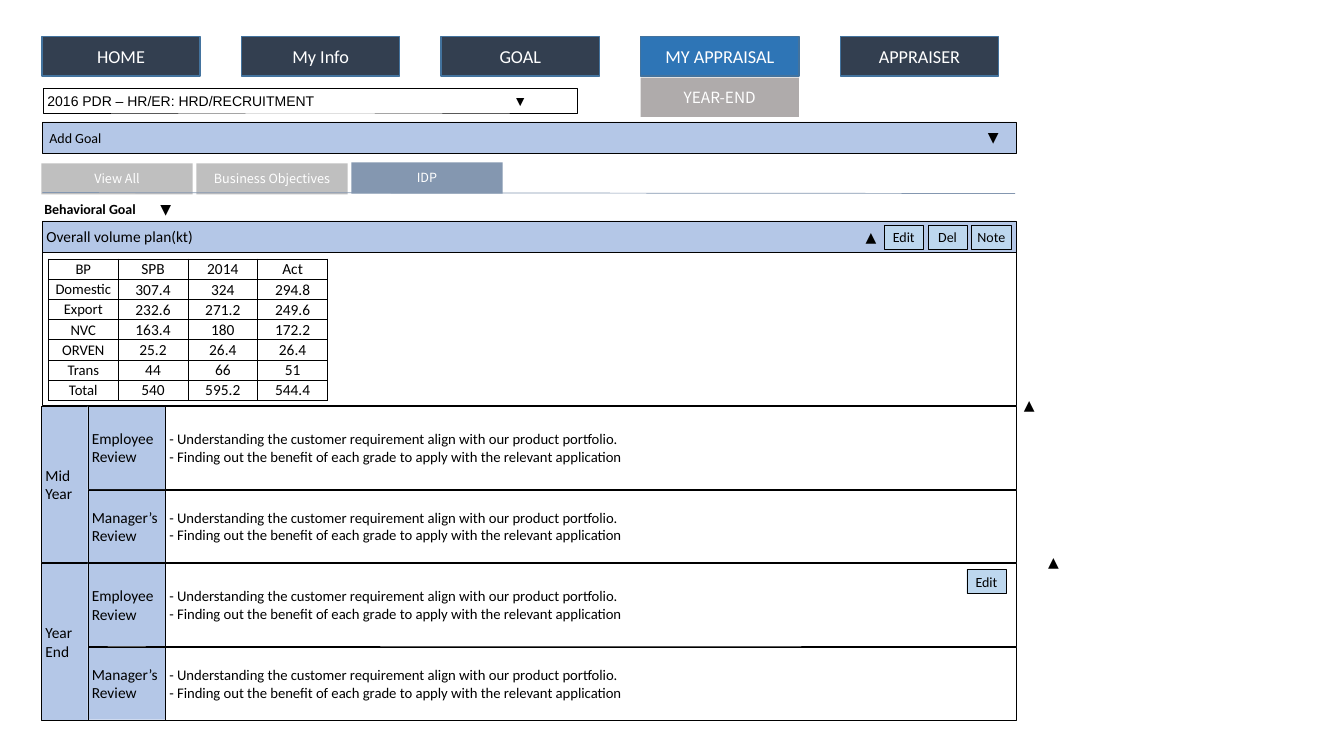
"""Build the year-end appraisal screen with its plan table and review blocks."""
from dataclasses import dataclass
from typing import NamedTuple, Optional

from lxml.etree import SubElement
from pptx import Presentation
from pptx.dml.color import RGBColor
from pptx.enum.shapes import MSO_CONNECTOR as Connector, MSO_SHAPE as Preset
from pptx.enum.text import MSO_ANCHOR as Anchor, PP_ALIGN as Align
from pptx.oxml.ns import qn
from pptx.util import Inches, Pt

WIDTH, HEIGHT = Inches(13.33), Inches(7.5)


@dataclass(frozen=True)
class Theme:
    """Colours, fonts and type sizes of the slide."""
    navy: str = "333F50"
    blue: str = "2E75B6"
    edge: str = "43739E"
    grey: str = "AFABAB"
    tab: str = "BFBFBF"
    slate: str = "8497B0"
    band: str = "B4C7E7"
    button: str = "BDD7EE"
    black: str = "000000"
    white: str = "FFFFFF"
    body_font: str = "Calibri"
    tab_font: str = "Noto Sans CJK KR"
    list_font: str = "Arial"
    nav_size: float = 13
    label_size: float = 11
    review_size: float = 10.5
    small_size: float = 10
    tab_size: float = 9


THEME = Theme()


class Area(NamedTuple):
    """A rectangle in percent of the slide's width and height."""
    left: float
    top: float
    width: float
    height: float

    def lengths(self) -> tuple:
        """Return the four lengths in slide units."""
        sides = (WIDTH, HEIGHT, WIDTH, HEIGHT)
        return tuple(int(share * side / 100) for share, side in zip(self, sides))


@dataclass(frozen=True)
class Style:
    """The look of a box and its text."""
    fill: Optional[str] = None
    line: Optional[str] = THEME.black
    line_width: float = 0.25
    size: float = THEME.small_size
    color: str = THEME.black
    font: str = THEME.body_font
    align: Align = Align.LEFT
    inset: float = 0.04
    tab_stop: float = 0


NAV = Style(THEME.navy, THEME.edge, 1, THEME.nav_size, THEME.white, align=Align.CENTER)
NAV_ACTIVE = Style(THEME.blue, THEME.edge, 1, THEME.nav_size, THEME.white, align=Align.CENTER)
SUBMENU = Style(THEME.grey, None, 0, THEME.label_size, THEME.white, THEME.tab_font, Align.CENTER)
TAB = Style(THEME.tab, None, 0, THEME.tab_size, THEME.white, THEME.tab_font, Align.CENTER)
TAB_ACTIVE = Style(THEME.slate, None, 0, THEME.tab_size, THEME.white, THEME.tab_font, Align.CENTER)
BUTTON = Style(THEME.button, align=Align.CENTER)
LABEL = Style(THEME.band, size=THEME.label_size)
ADD_BAR = Style(THEME.band, inset=0.07)
REVIEW = Style(size=THEME.review_size)
DROPDOWN = Style(font=THEME.list_font, tab_stop=4.62)
FILTER = Style(inset=0.02, tab_stop=1.15)
MARKER = Style(align=Align.CENTER, inset=0)
PANEL = Style()

PLAN = (
    ("BP", "SPB", "2014", "Act"),
    ("Domestic", "307.4", "324", "294.8"),
    ("Export", "232.6", "271.2", "249.6"),
    ("NVC", "163.4", "180", "172.2"),
    ("ORVEN", "25.2", "26.4", "26.4"),
    ("Trans", "44", "66", "51"),
    ("Total", "540", "595.2", "544.4"),
)
COMMENTS = (
    "- Understanding the customer requirement align with our product portfolio.",
    "- Finding out the benefit of each grade to apply with the relevant application",
)


def add_span(para, text: str, style: Style, bold: bool = False) -> None:
    """Add one formatted run to a paragraph."""
    span = para.add_run()
    span.text = text
    span.font.name, span.font.size, span.font.bold = style.font, Pt(style.size), bold
    span.font.color.rgb = RGBColor.from_string(style.color)


def set_tab(para, inches: float) -> None:
    """Give a paragraph one left tab stop."""
    stops = SubElement(para._p.get_or_add_pPr(), qn("a:tabLst"))
    SubElement(stops, qn("a:tab"), pos=str(Inches(inches)), algn="l")


def fill_frame(frame, paragraphs: tuple, style: Style) -> None:
    """Write paragraphs, with line breaks, into a text frame."""
    frame.word_wrap = True
    frame.margin_left = frame.margin_right = Inches(style.inset)
    frame.margin_top = frame.margin_bottom = Inches(min(style.inset, 0.04))
    for number, text in enumerate(paragraphs):
        para = frame.add_paragraph() if number else frame.paragraphs[0]
        para.alignment = style.align
        if style.tab_stop:
            set_tab(para, style.tab_stop)
        for part_number, part in enumerate(text.split("\n")):
            if part_number:
                para.add_line_break()
            add_span(para, part, style)


def add_box(page, area: Area, style: Style, *paragraphs: str) -> None:
    """Draw a rectangle with vertically centred text."""
    box = page.shapes.add_shape(Preset.RECTANGLE, *area.lengths())
    box.shadow.inherit = False
    if style.fill:
        box.fill.solid()
        box.fill.fore_color.rgb = RGBColor.from_string(style.fill)
    else:
        box.fill.background()
    if style.line:
        box.line.color.rgb = RGBColor.from_string(style.line)
        box.line.width = Pt(style.line_width)
    else:
        box.line.fill.background()
    box.text_frame.vertical_anchor = Anchor.MIDDLE
    fill_frame(box.text_frame, paragraphs, style)


def add_marker(page, left: float, top: float, symbol: str) -> None:
    """Place a small triangle as text."""
    box = page.shapes.add_textbox(*Area(left, top, 1.8, 3.6).lengths())
    fill_frame(box.text_frame, (symbol,), MARKER)
    box.text_frame.margin_top = Inches(0.05)


def add_filter(page) -> None:
    """Place the bold goal filter with its triangle."""
    box = page.shapes.add_textbox(*Area(3.15, 26.27, 12.45, 2.8).lengths())
    fill_frame(box.text_frame, (), FILTER)
    para = box.text_frame.paragraphs[0]
    set_tab(para, FILTER.tab_stop)
    add_span(para, "Behavioral Goal\t", FILTER, bold=True)
    add_span(para, "▼", FILTER)


def add_plan(page) -> None:
    """Draw the volume plan table with thin black borders."""
    area = Area(3.6, 34.27, 20.78, 18.67)
    table = page.shapes.add_table(len(PLAN), len(PLAN[0]), *area.lengths()).table
    table.first_row = table.horz_banding = False
    for row, values in enumerate(PLAN):
        for column, value in enumerate(values):
            cell = table.cell(row, column)
            cell.vertical_anchor = Anchor.MIDDLE
            cell.margin_left = cell.margin_right = cell.margin_top = Inches(0.01)
            cell.margin_bottom = 0
            para = cell.text_frame.paragraphs[0]
            para.alignment = Align.CENTER
            add_span(para, value, LABEL if column else REVIEW)
            properties = cell._tc.get_or_add_tcPr()
            for side in ("lnL", "lnR", "lnT", "lnB"):
                border = SubElement(properties, qn(f"a:{side}"), w=str(Pt(0.5)))
                SubElement(SubElement(border, qn("a:solidFill")), qn("a:srgbClr"), val=THEME.black)
            cell.fill.background()


def add_reviews(page, period: str, top: float) -> None:
    """Draw one review period: its label and two reviewer rows."""
    add_box(page, Area(3.08, top, 3.45, 20.7), LABEL, period)
    for reviewer, offset, height in (("Employee", 0, 10.93), ("Manager’s", 11.07, 9.6)):
        add_box(page, Area(12.3, top + offset, 63.3, height), REVIEW, *COMMENTS)
        add_box(page, Area(6.53, top + offset, 5.77, height), LABEL, f"{reviewer}\nReview")


def add_rule(page) -> None:
    """Draw the thin line under the tabs."""
    left, top, width, height = Area(3.15, 25.47, 72.38, 0.13).lengths()
    rule = page.shapes.add_connector(Connector.STRAIGHT, left, top, left + width, top + height)
    rule.line.color.rgb = RGBColor.from_string(THEME.slate)
    rule.line.width = Pt(0.5)
    SubElement(rule._element.spPr, qn("a:effectLst"))


def main() -> None:
    """Build and save the deck."""
    deck = Presentation()
    deck.slide_width, deck.slide_height = WIDTH, HEIGHT
    page = deck.slides.add_slide(deck.slide_layouts[6])
    for number, name in enumerate(("HOME", "My Info", "GOAL", "MY APPRAISAL", "APPRAISER")):
        style = NAV_ACTIVE if name == "MY APPRAISAL" else NAV
        add_box(page, Area(3.12 + 14.85 * number, 4.85, 11.78, 5.2), style, name)
    add_box(page, Area(47.67, 10.27, 11.78, 5.2), SUBMENU, "YEAR-END")
    add_box(page, Area(3.23, 11.73, 39.68, 3.2), DROPDOWN, "2016 PDR – HR/ER: HRD/RECRUITMENT\t▼")
    add_box(page, Area(3.15, 16.13, 72.45, 4.13), ADD_BAR, "Add Goal")
    for number, name in enumerate(("View All", "Business Objectives", "IDP")):
        style, top = (TAB_ACTIVE, 21.47) if name == "IDP" else (TAB, 21.6)
        add_box(page, Area(3.08 + 11.53 * number, top, 11.25, 4.13), style, name)
    add_rule(page)
    add_filter(page)
    add_box(page, Area(3.15, 33.2, 72.45, 20.4), PANEL)
    add_box(page, Area(3.15, 29.2, 72.45, 4.13), LABEL, "Overall volume plan(kt)")
    add_plan(page)
    for number, name in enumerate(("Edit", "Del", "Note")):
        add_box(page, Area(65.78 + 3.26 * number, 29.8, 2.93, 3.2), BUTTON, name)
    for number, period in enumerate(("Mid\nYear", "Year\nEnd")):
        add_reviews(page, period, 53.73 + 20.8 * number)
    add_box(page, Area(71.93, 75.33, 2.93, 3.2), BUTTON, "Edit")
    add_marker(page, 73.01, 16.4, "▼")
    for left, top in ((63.9, 29.6), (75.68, 51.73), (77.48, 72.53)):
        add_marker(page, left, top, "▲")
    deck.save("out.pptx")


main()
